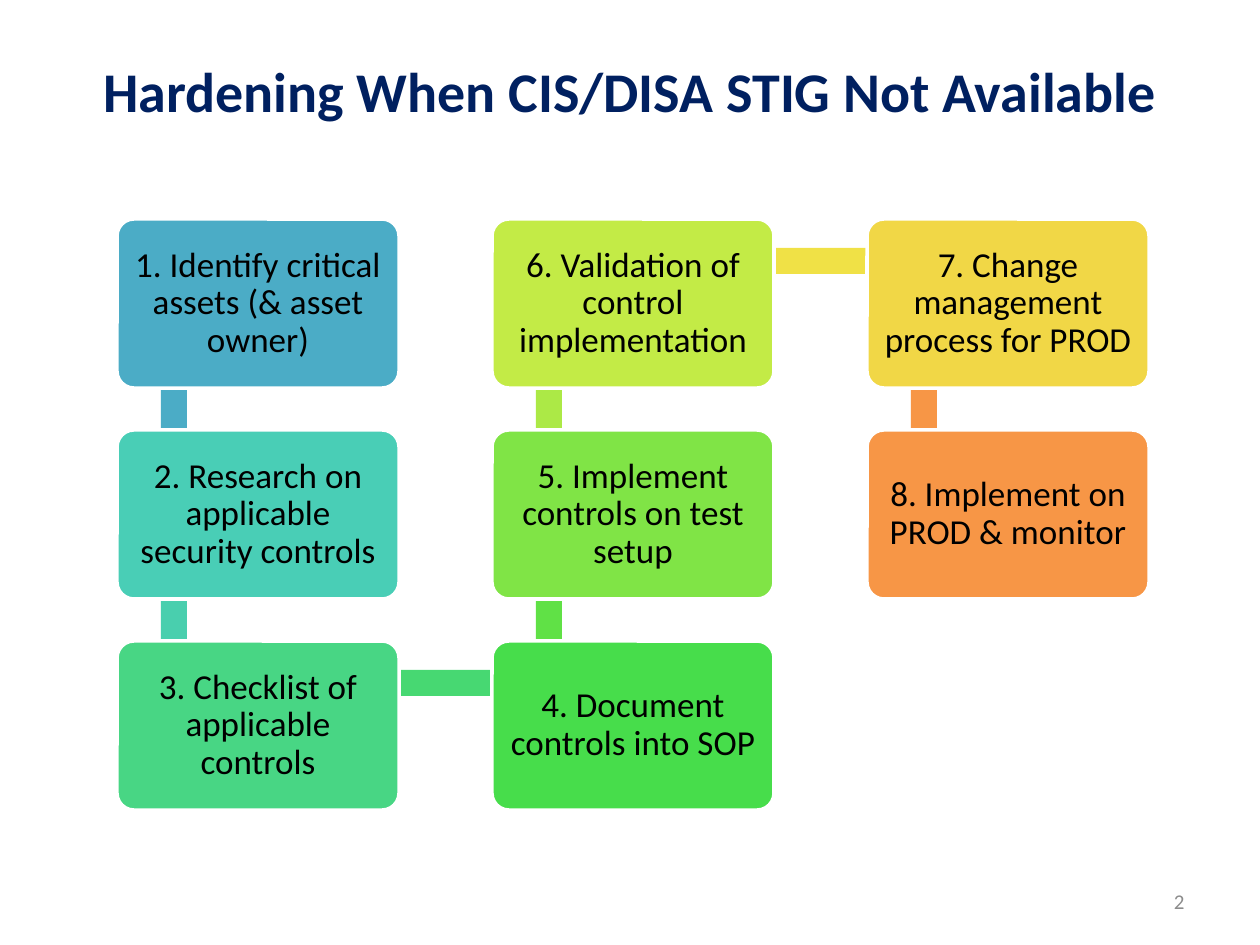
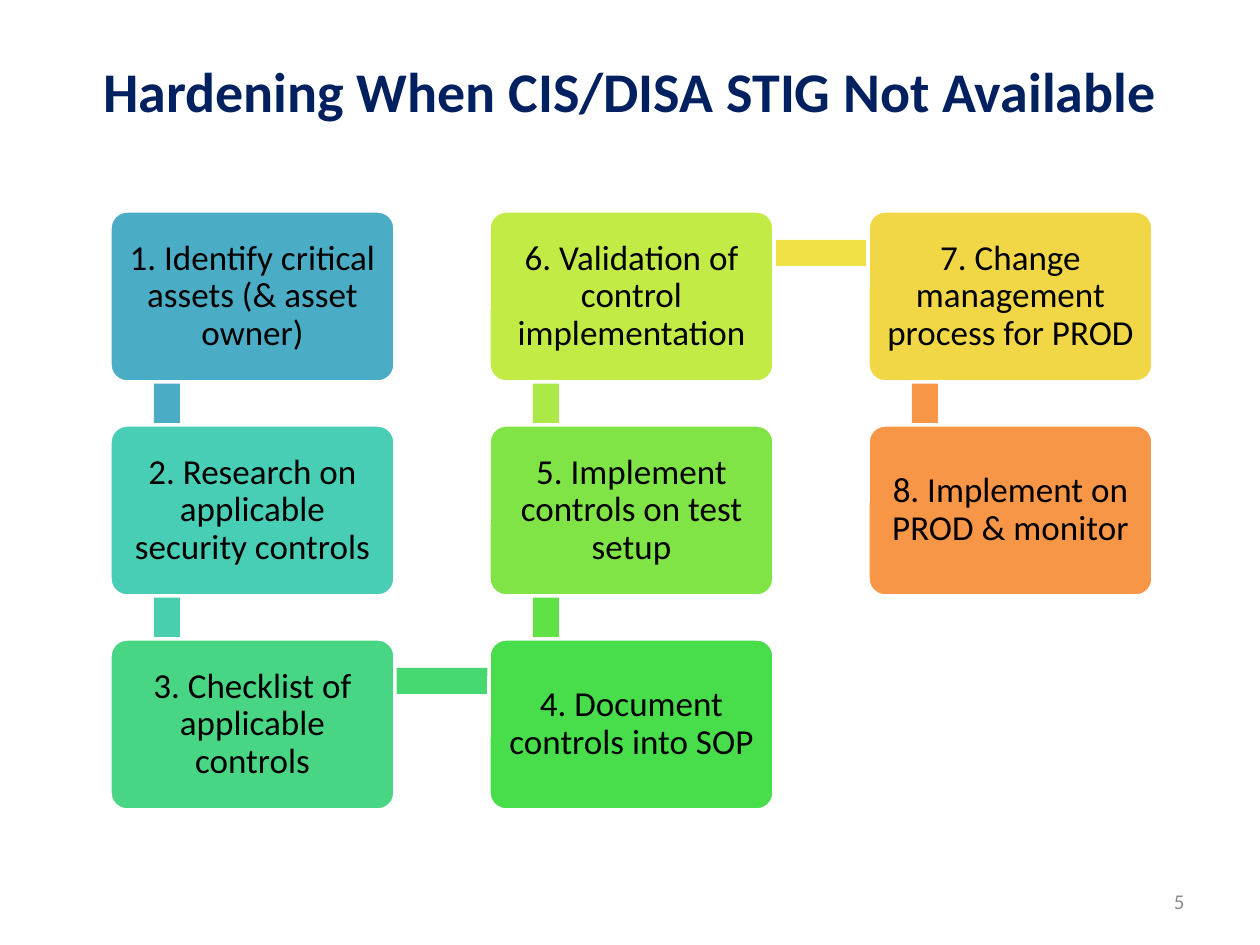
from pptx import Presentation
from pptx.dml.color import RGBColor
from pptx.enum.shapes import MSO_SHAPE
from pptx.enum.text import MSO_ANCHOR, PP_ALIGN
from pptx.util import Pt

PX = 914400 / 126
FONT = "Calibri"
TITLE_ONLY = 5
RECTANGLE, ROUNDED = MSO_SHAPE.RECTANGLE, MSO_SHAPE.ROUNDED_RECTANGLE
MIDDLE = MSO_ANCHOR.MIDDLE
CENTER, RIGHT = PP_ALIGN.CENTER, PP_ALIGN.RIGHT

COLORS = {
    "title": "002060", "text": "000000", "number": "8C8C8C", "border": "FFFFFF",
    "blue": "4BACC6", "teal": "49CEB6", "teal link": "49CFAE",
    "mint": "48D684", "mint link": "47D872",
    "green": "47DD4B", "green link": "60E146",
    "lime": "80E446", "lime link": "ACE946",
    "citron": "C3EB46", "citron link": "F0E146",
    "yellow": "F1D746", "orange": "F79646",
}

TITLE = "Hardening When CIS/DISA STIG Not Available"
# step, column, row, card colour, colour of the link to the next step
STEPS = [
    ("1. Identify critical assets (& asset owner)", 0, 0, "blue", "blue"),
    ("2. Research on applicable security controls", 0, 1, "teal", "teal link"),
    ("3. Checklist of applicable controls", 0, 2, "mint", "mint link"),
    ("4. Document controls into SOP", 1, 2, "green", "green link"),
    ("5. Implement controls on test setup", 1, 1, "lime", "lime link"),
    ("6. Validation of control implementation", 1, 0, "citron", "citron link"),
    ("7. Change management process for PROD", 2, 0, "yellow", "orange"),
    ("8. Implement on PROD & monitor", 2, 1, "orange", None),
]
LINK_X, LINK_Y, LINK_WIDTH = 57, 42, 26
CARD_INSET = 10

# page number, first card's left and top, card size, column and row pitch
PAGES = [
    ("2", (117, 219), (282, 169), (375, 211)),
    ("5", (110, 211), (285, 171), (379, 214)),
]


def emu(*lengths):
    return [round(length * PX) for length in lengths]


def rgb(name):
    return RGBColor.from_string(COLORS[name])


class Deck:
    def __init__(self):
        self.prs = Presentation()
        self.prs.slide_width, self.prs.slide_height = emu(1260, 945)
        self.slide = None

    def add_slide(self, title, number):
        self.slide = self.prs.slides.add_slide(self.prs.slide_layouts[TITLE_ONLY])
        heading = self.slide.shapes.title
        heading.left, heading.top, heading.width, heading.height = emu(63, 29, 1134, 123)
        self.set_text(heading, title, 32, "title", CENTER, bold=True)
        number_box = self.slide.shapes.add_textbox(*emu(903, 876, 294, 50))
        self.set_text(number_box, number, 12, "number", RIGHT)

    def set_text(self, shape, text, size, color, align, bold=False):
        frame = shape.text_frame
        frame.word_wrap = True
        frame.vertical_anchor = MIDDLE
        frame.text = text
        paragraph = frame.paragraphs[0]
        paragraph.alignment = align
        font = paragraph.font
        font.name, font.size, font.bold = FONT, Pt(size), bold
        font.color.rgb = rgb(color)
        return paragraph

    def block(self, kind, box, fill):
        shape = self.slide.shapes.add_shape(kind, *emu(*box))
        shape.shadow.inherit = False
        shape.fill.solid()
        shape.fill.fore_color.rgb = rgb(fill)
        return shape

    def link(self, start, end, color):
        """Draw a bar along the line between two points, under the cards."""
        (x1, y1), (x2, y2) = start, end
        half = LINK_WIDTH // 2
        if x1 == x2:
            box = (x1 - half, min(y1, y2), LINK_WIDTH, abs(y2 - y1))
        else:
            box = (min(x1, x2), y1 - half, abs(x2 - x1), LINK_WIDTH)
        self.block(RECTANGLE, box, color).line.fill.background()

    def card(self, box, text, color):
        card = self.block(ROUNDED, box, color)
        card.adjustments[0] = 0.1
        card.line.color.rgb = rgb("border")
        card.line.width = Pt(2)
        frame = card.text_frame
        (inset,) = emu(CARD_INSET)
        frame.margin_left = frame.margin_right = inset
        frame.margin_top = frame.margin_bottom = inset
        self.set_text(card, text, 20, "text", CENTER).line_spacing = 0.9

    def process(self, origin, card_size, pitch):
        """Lay the steps out as a snake, each linked to the next."""
        corners = [(origin[0] + column * pitch[0], origin[1] + row * pitch[1])
                   for _, column, row, _, _ in STEPS]
        joints = [(x + LINK_X, y + LINK_Y) for x, y in corners]
        for i, (text, _, _, color, link_color) in enumerate(STEPS):
            if link_color:
                self.link(joints[i], joints[i + 1], link_color)
            self.card((*corners[i], *card_size), text, color)


def main():
    deck = Deck()
    for number, origin, card_size, pitch in PAGES:
        deck.add_slide(TITLE, number)
        deck.process(origin, card_size, pitch)
    deck.prs.save("out.pptx")


if __name__ == "__main__":
    main()
